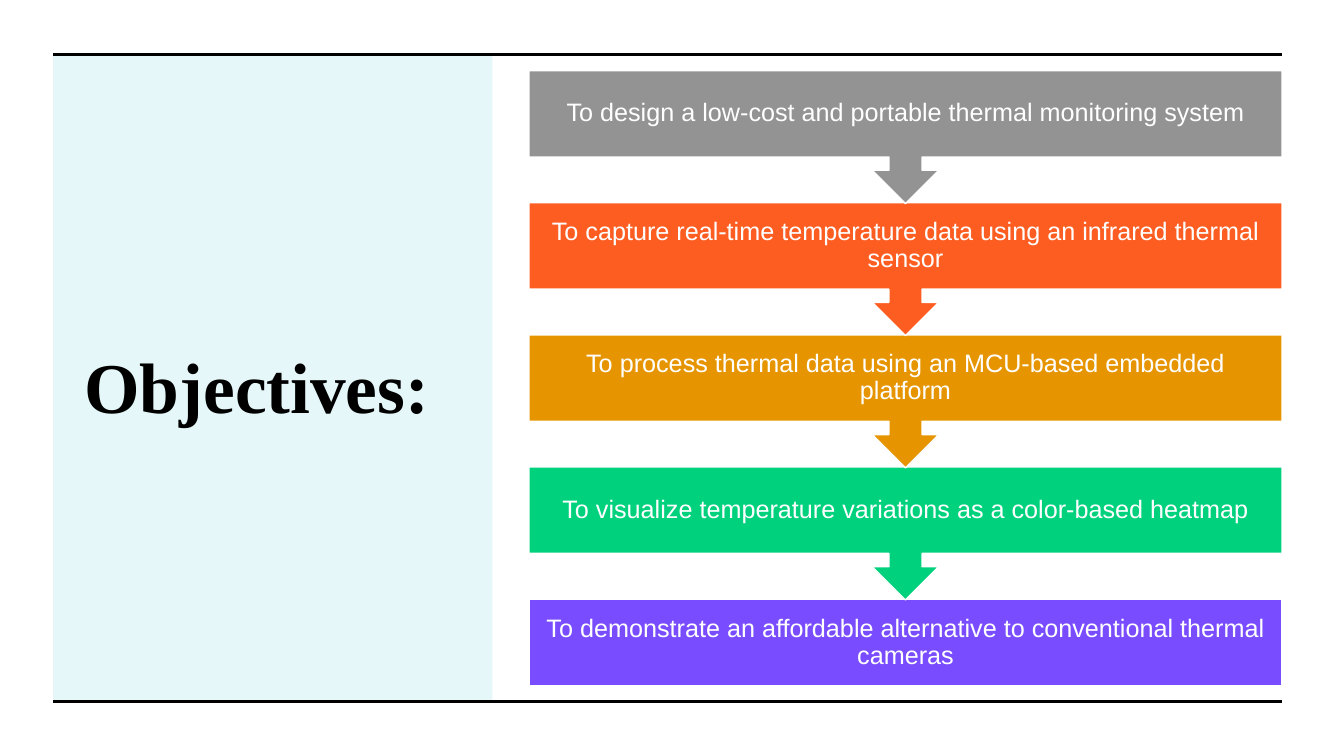
"""Build the objectives slide: a title panel beside a chain of coloured steps."""
import dataclasses

import lxml.etree
import pptx
import pptx.dml.color
import pptx.enum.shapes
import pptx.enum.text
import pptx.oxml.ns
import pptx.util

Cm = pptx.util.Cm
Pt = pptx.util.Pt
RGBColor = pptx.dml.color.RGBColor
Shape = pptx.enum.shapes.MSO_SHAPE
Align = pptx.enum.text.PP_ALIGN

BLACK = RGBColor(0x00, 0x00, 0x00)
WHITE = RGBColor(0xFF, 0xFF, 0xFF)
TEAL = RGBColor(0x00, 0xBA, 0xC8)
GRAY = RGBColor(0x93, 0x93, 0x93)
ORANGE = RGBColor(0xFE, 0x5D, 0x21)
AMBER = RGBColor(0xE6, 0x95, 0x00)
GREEN = RGBColor(0x00, 0xD1, 0x7D)
VIOLET = RGBColor(0x79, 0x4D, 0xFF)

LEFT, RIGHT = Cm(1.34), Cm(32.31)
TOP, BOTTOM = Cm(1.37), Cm(17.68)
STEP_LEFT, STEP_TOP, STEP_WIDTH = Cm(13.33), Cm(1.78), Cm(18.98)
PITCH, CALL_HEIGHT, BOX_HEIGHT = Cm(3.33), Cm(3.35), Cm(2.18)


@dataclasses.dataclass(frozen=True)
class Step:
    text: str
    color: RGBColor


STEPS = [
    Step("To design a low-cost and portable thermal monitoring system", GRAY),
    Step("To capture real-time temperature data using an infrared thermal sensor", ORANGE),
    Step("To process thermal data using an MCU-based embedded platform", AMBER),
    Step("To visualize temperature variations as a color-based heatmap", GREEN),
    Step("To demonstrate an affordable alternative to conventional thermal cameras", VIOLET),
]


def write(shape, text: str, *, font: str, size: float, color: RGBColor,
          bold: bool = False, align=Align.LEFT, inset=Cm(0.25),
          spacing: float = 1.0) -> None:
    frame = shape.text_frame
    frame.word_wrap = True
    frame.vertical_anchor = pptx.enum.text.MSO_ANCHOR.MIDDLE
    frame.margin_left = frame.margin_right = inset
    frame.margin_top = frame.margin_bottom = inset
    para = frame.paragraphs[0]
    para.alignment = align
    para.line_spacing = spacing
    run = para.add_run()
    run.text = text
    run.font.name = font
    run.font.size = Pt(size)
    run.font.bold = bold
    run.font.color.rgb = color


def add_block(slide, kind, left: int, top: int, width: int, height: int, color: RGBColor):
    shape = slide.shapes.add_shape(kind, left, top, width, height)
    shape.shadow.inherit = False
    shape.fill.solid()
    shape.fill.fore_color.rgb = color
    shape.line.fill.background()
    return shape


def add_panel(slide) -> None:
    qn = pptx.oxml.ns.qn
    panel = add_block(slide, Shape.RECTANGLE, LEFT, TOP, Cm(11.07), BOTTOM - TOP, TEAL)
    color = panel.fill._xPr.find(qn("a:solidFill"))[0]
    lxml.etree.SubElement(color, qn("a:alpha")).set("val", "10000")
    title = slide.shapes.add_textbox(Cm(1.88), Cm(2.72), Cm(9.88), Cm(13.97))
    write(title, "Objectives:", font="Times New Roman", size=51, color=BLACK, bold=True)


def add_rule(slide, top: int) -> None:
    rule = slide.shapes.add_connector(
        pptx.enum.shapes.MSO_CONNECTOR.STRAIGHT, LEFT, top, RIGHT, top)
    rule.line.color.rgb = BLACK
    rule.line.width = Pt(2.25)
    lxml.etree.SubElement(rule._element.spPr, pptx.oxml.ns.qn("a:effectLst"))


def add_step(slide, step: Step, index: int) -> None:
    last = index == len(STEPS) - 1
    kind = Shape.RECTANGLE if last else Shape.DOWN_ARROW_CALLOUT
    height = BOX_HEIGHT if last else CALL_HEIGHT
    block = add_block(slide, kind, STEP_LEFT, STEP_TOP + index * PITCH,
                      STEP_WIDTH, height, step.color)
    block.line.color.rgb = WHITE
    block.line.width = Pt(1)
    write(block, step.text, font="Arial", size=18, color=WHITE,
          align=Align.CENTER, inset=Cm(0.36), spacing=0.9)


def main() -> None:
    deck = pptx.Presentation()
    deck.slide_width, deck.slide_height = Cm(33.87), Cm(19.05)
    slide = deck.slides.add_slide(deck.slide_layouts[6])
    add_panel(slide)
    for top in (TOP, BOTTOM):
        add_rule(slide, top)
    for index, step in reversed(list(enumerate(STEPS))):
        add_step(slide, step, index)
    deck.save("out.pptx")


if __name__ == "__main__":
    main()
